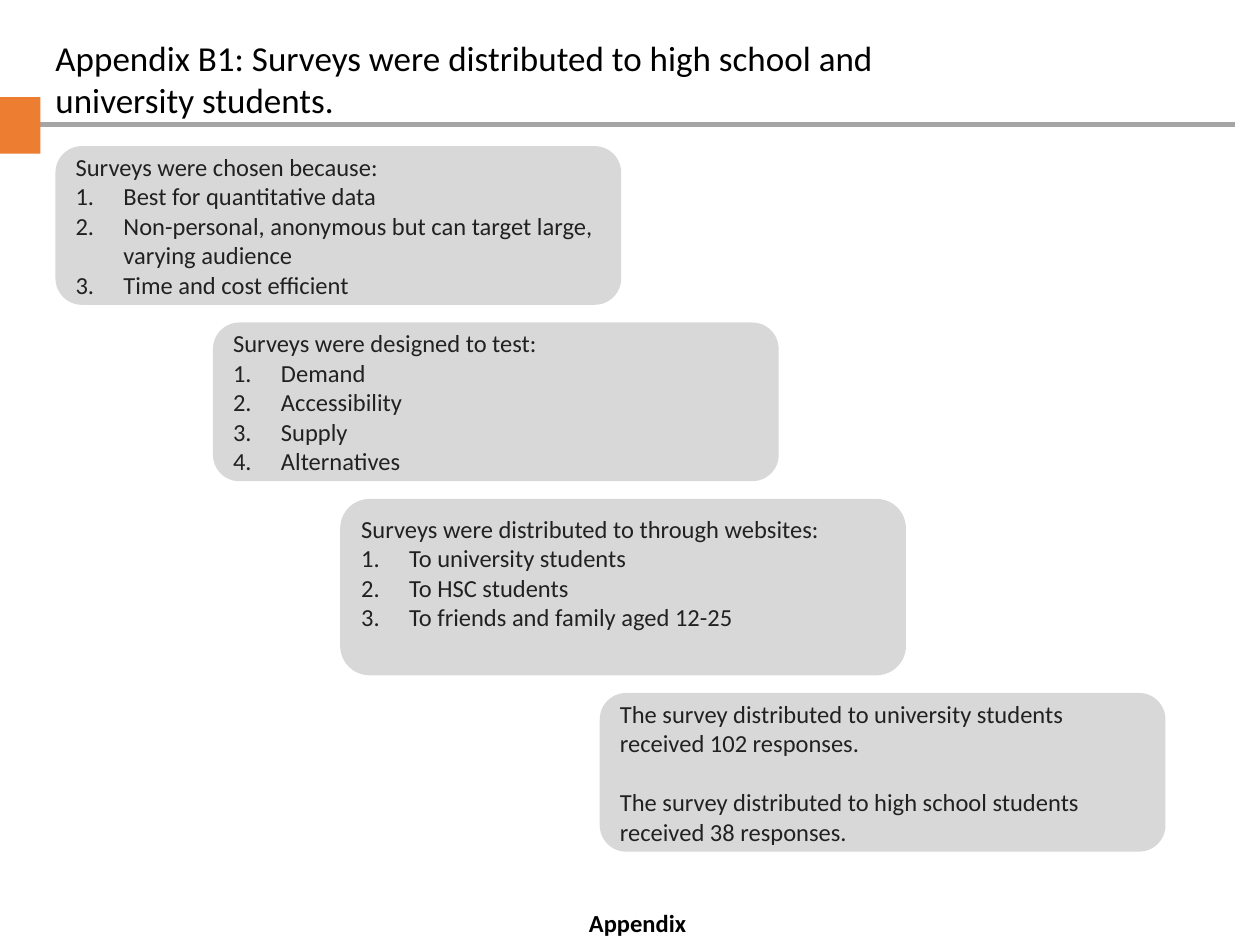
from lxml.etree import SubElement
from pptx import Presentation
from pptx.dml.color import RGBColor
from pptx.enum.shapes import MSO_CONNECTOR, MSO_SHAPE
from pptx.enum.text import MSO_ANCHOR, MSO_AUTO_SIZE, PP_ALIGN
from pptx.oxml.ns import qn
from pptx.util import Inches, Pt

TITLE = "Appendix B1: Surveys were distributed to high school and university students."
FOOTER = "Appendix"
GREY, ORANGE, PANEL, INK, BLACK = "A5A5A5", "ED7D31", "D8D8D8", "212121", "000000"

# Each step: left, height, bottom inset, plain paragraphs, numbered items
STEPS = [
    (0.44, 1.26, 0.1, ["Surveys were chosen because:"],
     ["Best for quantitative data",
      "Non-personal, anonymous but can target large, varying audience",
      "Time and cost efficient"]),
    (1.69, 1.26, 0.1, ["Surveys were designed to test:"],
     ["Demand", "Accessibility", "Supply", "Alternatives"]),
    (2.70, 1.40, 0.33, ["Surveys were distributed to through websites:"],
     ["To university students", "To HSC students",
      "To friends and family aged 12-25"]),
    (4.76, 1.26, 0.1,
     ["The survey distributed to university students received 102 responses.",
      "The survey distributed to high school students received 38 responses."], []),
]
STEP_TOP, STEP_WIDTH, STEP_GAP = 1.16, 4.49, 0.14
HANG = 0.38


def rgb(value):
    return RGBColor.from_string(value)


def box(*lengths):
    return [Inches(v) for v in lengths]


def style(p, size, color=BLACK, bold=False, align=PP_ALIGN.LEFT):
    p.alignment = align
    for r in p.runs:
        r.font.name, r.font.size, r.font.bold = "Calibri", Pt(size), bold
        r.font.color.rgb = rgb(color)


def number(p):
    pPr = p._p.get_or_add_pPr()
    pPr.set("marL", str(Inches(HANG)))
    pPr.set("indent", str(-Inches(HANG)))
    SubElement(pPr, qn("a:buFont"), typeface="+mj-lt")
    SubElement(pPr, qn("a:buAutoNum"), type="arabicPeriod")


def add_block(shapes, kind, fill, *lengths):
    sp = shapes.add_shape(kind, *box(*lengths))
    sp.shadow.inherit = False
    sp.fill.solid()
    sp.fill.fore_color.rgb = rgb(fill)
    sp.line.fill.background()
    return sp


def add_step(shapes, top, left, height, bottom_inset, intro, items):
    sp = add_block(shapes, MSO_SHAPE.ROUNDED_RECTANGLE, PANEL,
                   left, top, STEP_WIDTH, height)
    tf = sp.text_frame
    tf.word_wrap = True
    tf.vertical_anchor = MSO_ANCHOR.MIDDLE
    tf.margin_left = tf.margin_right = tf.margin_top = Inches(0.1)
    tf.margin_bottom = Inches(bottom_inset)
    tf.text = "\n".join(intro + items)
    for i, p in enumerate(tf.paragraphs):
        if i >= len(intro):
            number(p)
        elif i > 0:
            p.space_before = Pt(17)
        style(p, 14, INK)


def main():
    prs = Presentation()
    prs.slide_width, prs.slide_height = box(10, 7.5)
    s = prs.slides.add_slide(prs.slide_layouts[5])
    shapes = s.shapes

    title = shapes.title
    title.left, title.top, title.width, title.height = box(0.34, 0.24, 7.18, 0.77)
    tf = title.text_frame
    tf.text = TITLE
    tf.word_wrap = True
    tf.auto_size = MSO_AUTO_SIZE.NONE
    tf.vertical_anchor = MSO_ANCHOR.TOP
    style(tf.paragraphs[0], 20)

    rule = shapes.add_connector(MSO_CONNECTOR.STRAIGHT, *box(0.32, 0.99, 9.8, 0.99))
    rule.line.color.rgb = rgb(GREY)
    rule.line.width = Pt(3)
    SubElement(rule._element.spPr, qn("a:effectLst"))
    add_block(shapes, MSO_SHAPE.RECTANGLE, ORANGE, 0, 0.77, 0.32, 0.45)

    top = STEP_TOP
    for step in STEPS:
        add_step(shapes, top, *step)
        top += step[1] + STEP_GAP

    footer = shapes.add_textbox(*box(4.42, 7.16, 1.28, 0.34)).text_frame
    footer.word_wrap = True
    footer.text = FOOTER
    style(footer.paragraphs[0], 14, bold=True, align=PP_ALIGN.CENTER)

    prs.save("out.pptx")


if __name__ == "__main__":
    main()
